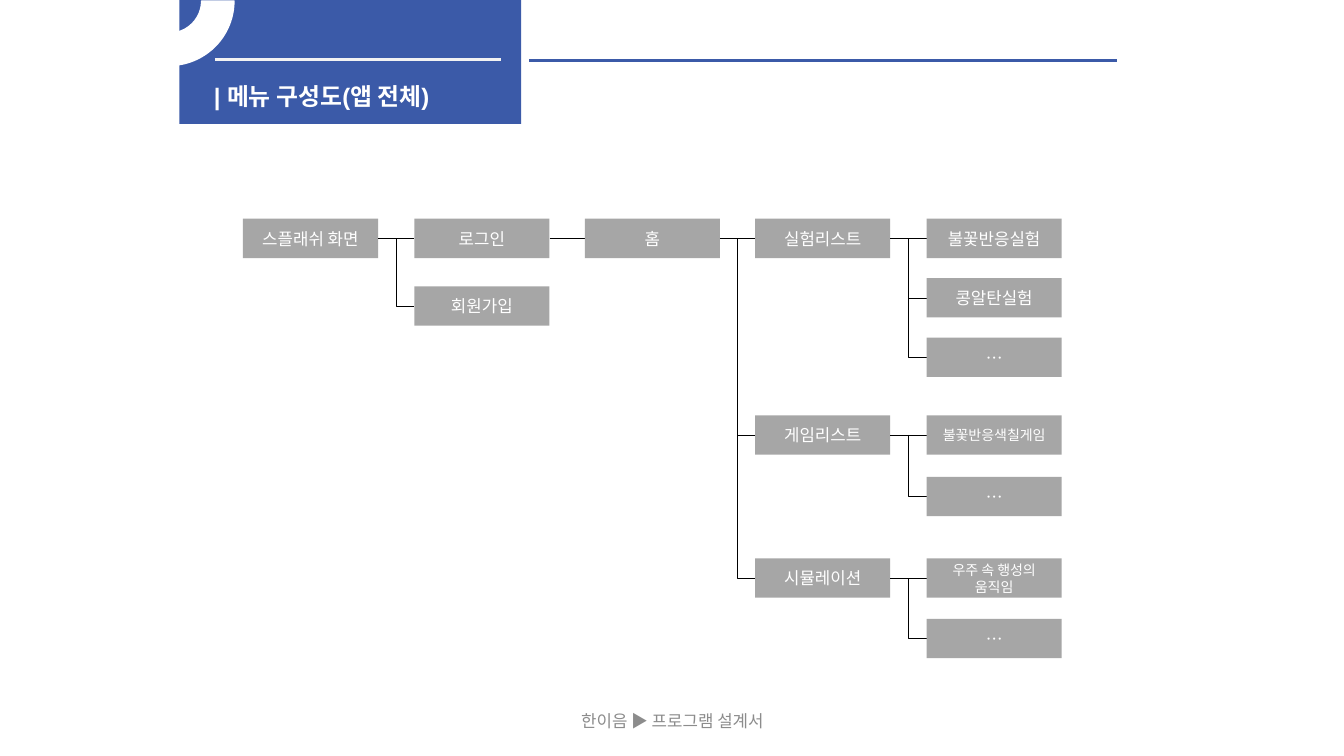
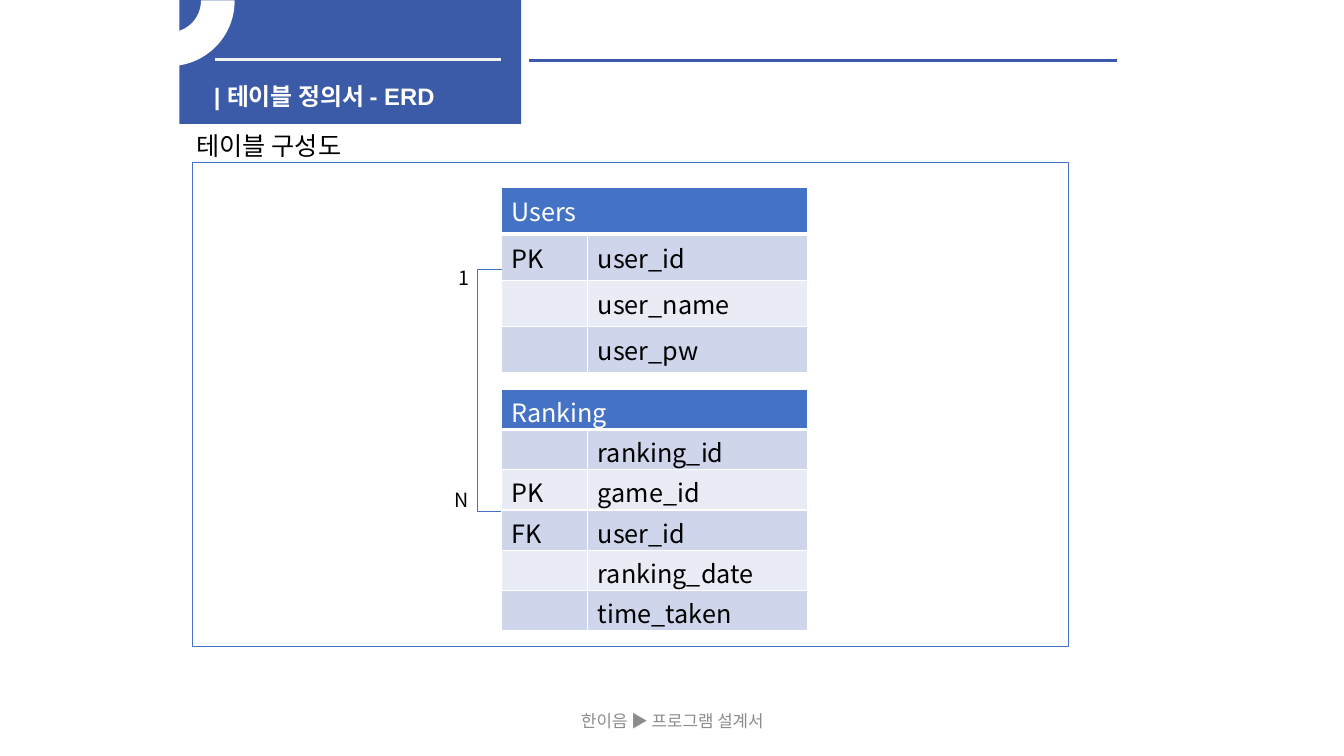
from lxml import etree
from pptx import Presentation
from pptx.dml.color import RGBColor
from pptx.enum import shapes, text
from pptx.oxml import ns
from pptx.util import Inches, Pt

BLUE, ACCENT, GREY = "3B5AA8", "4472C4", "A6A6A6"
WHITE, BLACK, PALE, MUTED = "FFFFFF", "000000", "F2F2F2", "8C8C8C"
STRIPES = ("CFD5EA", "E9EBF5")
SANS, HEAD = "Noto Sans CJK KR", "Arial"
LEFT, MID = text.PP_ALIGN.LEFT, text.PP_ALIGN.CENTER
TOP, CENTRE = text.MSO_ANCHOR.TOP, text.MSO_ANCHOR.MIDDLE
SHAPE, LINK = shapes.MSO_SHAPE, shapes.MSO_CONNECTOR

FOOTER = "한이음 ▶ 프로그램 설계서"

# Each menu entry: label, top edge, entries below it
MENU = ("스플래쉬 화면", 2.17, [
    ("로그인", 2.17, [
        ("홈", 2.17, [
            ("실험리스트", 2.17, [
                ("불꽃반응실험", 2.17, []),
                ("콩알탄실험", 2.76, []),
                ("…", 3.35, []),
            ]),
            ("게임리스트", 4.12, [
                ("불꽃반응색칠게임", 4.12, []),
                ("…", 4.73, []),
            ]),
            ("시뮬레이션", 5.54, [
                ("우주 속 행성의 움직임", 5.54, []),
                ("…", 6.14, []),
            ]),
        ]),
    ]),
    ("회원가입", 2.84, []),
])
COLS = (2.41, 4.11, 5.8, 7.49, 9.19)
NODE_W, NODE_H, STUB = 1.34, 0.39, 0.18

# Each table: name, top edge, row height, top and bottom margin, fields
TABLES = [
    ("Users", 1.86, 0.46, 0.05, 0.05,
     [("PK", "user_id"), ("", "user_name"), ("", "user_pw")]),
    ("Ranking", 3.86, 0.4, 0.04, 0,
     [("", "ranking_id"), ("PK", "game_id"), ("FK", "user_id"),
      ("", "ranking_date"), ("", "time_taken")]),
]
FIELD_COLS = (0.86, 2.18)
ENDS = [("1", 4.45, 2.59, 0.31), ("N", 4.41, 4.79, 0.35)]


def rgb(code):
    return RGBColor.from_string(code)


def box(*sides):
    return [Inches(side) for side in sides]


def write(frame, words, size, color, align=LEFT, anchor=TOP,
          font=SANS, bold=False):
    frame.vertical_anchor = anchor
    para = frame.paragraphs[0]
    para.alignment = align
    run = para.add_run()
    run.text = words
    run.font.size, run.font.name, run.font.bold = Pt(size), font, bold
    run.font.color.rgb = rgb(color)
    east = etree.SubElement(run.font._element, ns.qn("a:ea"))
    east.set("typeface", SANS)


def label(slide, words, place, size, color, wrap=True, **style):
    frame = slide.shapes.add_textbox(*box(*place)).text_frame
    frame.word_wrap = wrap
    write(frame, words, size, color, **style)


def block(slide, kind, place, fill=None, edge=None, width=1):
    shape = slide.shapes.add_shape(kind, *box(*place))
    shape.shadow.inherit = False
    if fill:
        shape.fill.solid()
        shape.fill.fore_color.rgb = rgb(fill)
    else:
        shape.fill.background()
    if edge:
        shape.line.color.rgb = rgb(edge)
        shape.line.width = Pt(width)
    else:
        shape.line.fill.background()
    return shape


def link(slide, ends, color, width, kind=LINK.STRAIGHT):
    line = slide.shapes.add_connector(kind, *box(*ends))
    line.line.color.rgb = rgb(color)
    line.line.width = Pt(width)
    etree.SubElement(line._element.spPr, ns.qn("a:effectLst"))
    return line


def elbow(slide, x, y, w, h):
    """Draw a line down from (x, y), then right to (x + w, y + h)."""
    cx, cy = x + w / 2, y + h / 2
    ends = (cx - h / 2, cy - w / 2, cx + h / 2, cy + w / 2)
    props = link(slide, ends, BLACK, 0.5, LINK.ELBOW)._element.spPr
    props.xfrm.set("rot", "16200000")
    props.xfrm.set("flipH", "1")
    props.find(ns.qn("a:prstGeom")).set("prst", "bentConnector2")


def start(deck, heading):
    """Add a slide with the shared band, rules, title and footer."""
    slide = deck.slides.add_slide(deck.slide_layouts[5])
    block(slide, SHAPE.RECTANGLE, (1.78, 0, 3.39, 1.23), BLUE)
    link(slide, (2.13, 0.59, 4.97, 0.59), PALE, 2.25)
    link(slide, (5.25, 0.6, 11.08, 0.6), BLUE, 2.25)
    title = slide.shapes.title
    title.left, title.top, title.width, title.height = box(
        2.02, 0.76, 3.23, 0.3)
    title.text_frame.auto_size = text.MSO_AUTO_SIZE.NONE
    write(title.text_frame, heading, 17, WHITE, font=HEAD, bold=True)
    slide.shapes._spTree.append(title._element)
    arc = block(slide, SHAPE.BLOCK_ARC, (1.03, -0.63, 1.29, 1.28),
                WHITE, WHITE)
    arc.adjustments[0] = 96.95
    arc.adjustments[1] = 0
    arc.adjustments[2] = 0.25
    arc._element.spPr.xfrm.set("flipV", "1")
    label(slide, FOOTER, (4.42, 6.95, 4.5, 0.4), 12, MUTED,
          align=MID, anchor=CENTRE)
    return slide


def branch(slide, node, depth=0):
    """Draw a menu entry, its links and everything below it."""
    words, top, below = node
    left, mid = COLS[depth], top + NODE_H / 2
    shape = block(slide, SHAPE.RECTANGLE, (left, top, NODE_W, NODE_H), GREY)
    write(shape.text_frame, words, 10 if len(words) > 7 else 12, WHITE,
          MID, CENTRE)
    for i, child in enumerate(below):
        edge = COLS[depth + 1]
        if i == 0:
            link(slide, (left + NODE_W, mid, edge, mid), BLACK, 0.5)
        else:
            elbow(slide, edge - STUB, mid, STUB, child[1] - top)
        branch(slide, child, depth + 1)


def border(cell, base):
    props = cell._tc.get_or_add_tcPr()
    for i, side in enumerate("LRTB"):
        line = etree.Element(ns.qn("a:ln" + side))
        line.set("w", str(Pt(base if side == "B" else 1)))
        fill = etree.SubElement(line, ns.qn("a:solidFill"))
        etree.SubElement(fill, ns.qn("a:srgbClr")).set("val", WHITE)
        props.insert(i, line)


def entity(slide, name, top, high, above, under, fields):
    rows = [(name, "")] + fields
    grid = slide.shapes.add_table(
        len(rows), 2, *box(4.97, top, sum(FIELD_COLS), high * len(rows))
    ).table
    for col, wide in zip(grid.columns, FIELD_COLS):
        col.width = Inches(wide)
    grid.cell(0, 0).merge(grid.cell(0, 1))
    for r, row in enumerate(rows):
        grid.rows[r].height = Inches(high)
        for c, words in enumerate(row):
            cell = grid.cell(r, c)
            cell.margin_top, cell.margin_bottom = box(above, under)
            cell.fill.solid()
            cell.fill.fore_color.rgb = rgb(
                STRIPES[(r - 1) % 2] if r else ACCENT)
            border(cell, 1 if r else 3)
            if words:
                write(cell.text_frame, words, 18, BLACK if r else WHITE)


def main():
    deck = Presentation()
    deck.slide_width, deck.slide_height = box(13.33, 7.5)

    branch(start(deck, "| 메뉴 구성도(앱 전체)"), MENU)

    slide = start(deck, "| 테이블 정의서 - ERD")
    block(slide, SHAPE.RECTANGLE, (1.91, 1.61, 8.69, 4.8),
          edge=ACCENT, width=0.75)
    label(slide, "테이블 구성도", (1.85, 1.24, 1.89, 0.4), 18, BLACK)
    for table in TABLES:
        entity(slide, *table)
    key = link(slide, (4.98, 2.67, 4.97, 5.07), ACCENT, 0.5, LINK.ELBOW)
    shape = key._element.spPr.find(ns.qn("a:prstGeom"))
    guide = etree.SubElement(shape.find(ns.qn("a:avLst")), ns.qn("a:gd"))
    guide.set("name", "adj1")
    guide.set("fmla", "val 2500000")
    for words, x, y, w in ENDS:
        label(slide, words, (x, y, w, 0.34), 14, BLACK, wrap=False)

    deck.save("out.pptx")


if __name__ == "__main__":
    main()
